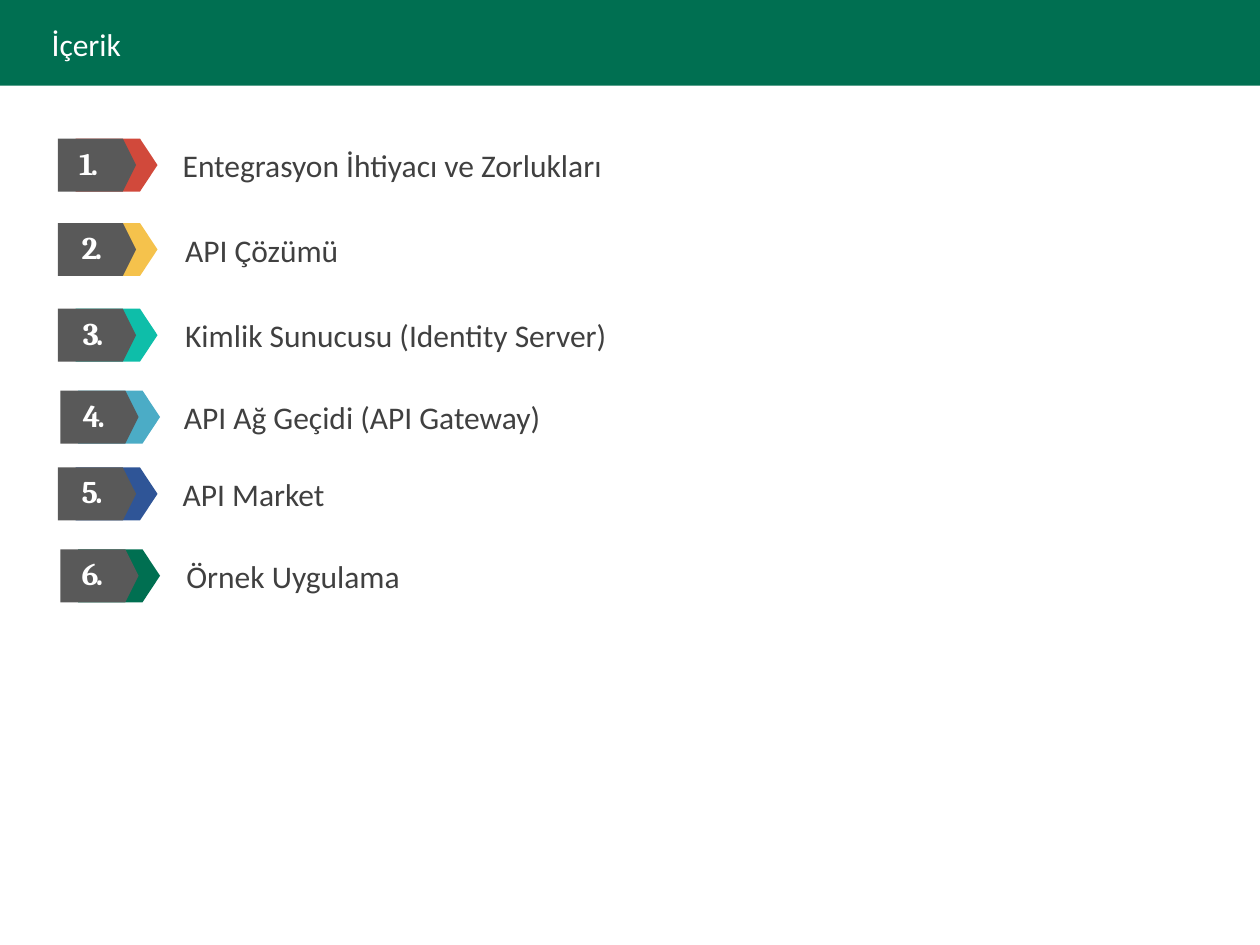
import pptx
import pptx.util
import pptx.dml.color
import pptx.enum.shapes
import pptx.enum.text

Inches = pptx.util.Inches
SHAPES = pptx.enum.shapes.MSO_SHAPE
ALIGN = pptx.enum.text.PP_ALIGN
ANCHOR = pptx.enum.text.MSO_ANCHOR

COLOURS = {
    "green": "006F51", "white": "FFFFFF", "text": "404040", "badge": "595959",
    "red": "D1493B", "yellow": "F5C24C", "teal": "0EBEA9",
    "sky": "4BACC6", "blue": "2F5597",
}
TITLE = "İçerik"
# topic, tip colour, badge left, badge top, number left, topic left
TOPICS = [
    ("Entegrasyon İhtiyacı ve Zorlukları", "red", 0.46, 1.10, 0.53, 1.32),
    ("API Çözümü", "yellow", 0.46, 1.77, 0.55, 1.34),
    ("Kimlik Sunucusu (Identity Server)", "teal", 0.46, 2.45, 0.56, 1.34),
    ("API Ağ Geçidi (API Gateway)", "sky", 0.48, 3.10, 0.56, 1.33),
    ("API Market", "blue", 0.46, 3.71, 0.55, 1.32),
    ("Örnek Uygulama", "green", 0.48, 4.36, 0.55, 1.35),
]
BADGE_HEIGHT = 0.42
TOPIC_HEIGHT = 0.3


def rgb(name):
    return pptx.dml.color.RGBColor.from_string(COLOURS[name])


def add_filled(shapes, kind, colour, left, top, width, height):
    shape = shapes.add_shape(kind, Inches(left), Inches(top), Inches(width), Inches(height))
    shape.shadow.inherit = False
    shape.fill.solid()
    shape.fill.fore_color.rgb = rgb(colour)
    shape.line.fill.background()
    return shape


def write(frame, text, font, colour, align=ALIGN.LEFT, bold=False):
    frame.word_wrap = True
    para = frame.paragraphs[0]
    para.alignment = align
    span = para.add_run()
    span.text = text
    span.font.name = font
    span.font.size = pptx.util.Pt(18)
    span.font.bold = bold
    span.font.color.rgb = rgb(colour)
    return span


def add_title(slide):
    title = slide.shapes.title
    title.left, title.top = Inches(0.31), Inches(0.15)
    title.width, title.height = Inches(7.67), Inches(0.4)
    title.text_frame.vertical_anchor = ANCHOR.TOP
    write(title.text_frame, TITLE, "Calibri", "white")
    band = add_filled(slide.shapes, SHAPES.RECTANGLE, "green", 0, 0, 10, 0.68)
    title.element.addprevious(band.element)


def add_badge(slide, number, colour, left, top, number_left):
    shapes = slide.shapes.add_group_shape().shapes
    tip = add_filled(shapes, SHAPES.PENTAGON, colour, left + 0.14, top, 0.65, BADGE_HEIGHT)
    tip.adjustments[0] = 0.33
    body = add_filled(shapes, SHAPES.PENTAGON, "badge", left, top, 0.62, BADGE_HEIGHT)
    body.adjustments[0] = 0.25
    box = shapes.add_textbox(Inches(number_left), Inches(top - 0.01), Inches(0.57), Inches(0.43))
    span = write(box.text_frame, f"{number}.", "Cambria", "white", bold=True)
    span.font._element.set("spc", "-150")


def add_topic(slide, text, left, badge_top):
    top = badge_top + (BADGE_HEIGHT - TOPIC_HEIGHT) / 2
    box = slide.shapes.add_textbox(Inches(left), Inches(top), Inches(5.1), Inches(TOPIC_HEIGHT))
    frame = box.text_frame
    frame.vertical_anchor = ANCHOR.MIDDLE
    frame.margin_left = frame.margin_right = Inches(0.13)
    frame.margin_top = frame.margin_bottom = Inches(0.07)
    write(frame, text, "Calibri", "text", ALIGN.JUSTIFY)


def main():
    deck = pptx.Presentation()
    deck.slide_width, deck.slide_height = Inches(10), Inches(7.5)
    slide = deck.slides.add_slide(deck.slide_layouts[5])
    add_title(slide)
    for number, (text, colour, left, top, number_left, text_left) in enumerate(TOPICS, 1):
        add_badge(slide, number, colour, left, top, number_left)
        add_topic(slide, text, text_left, top)
    deck.save("out.pptx")


if __name__ == "__main__":
    main()
